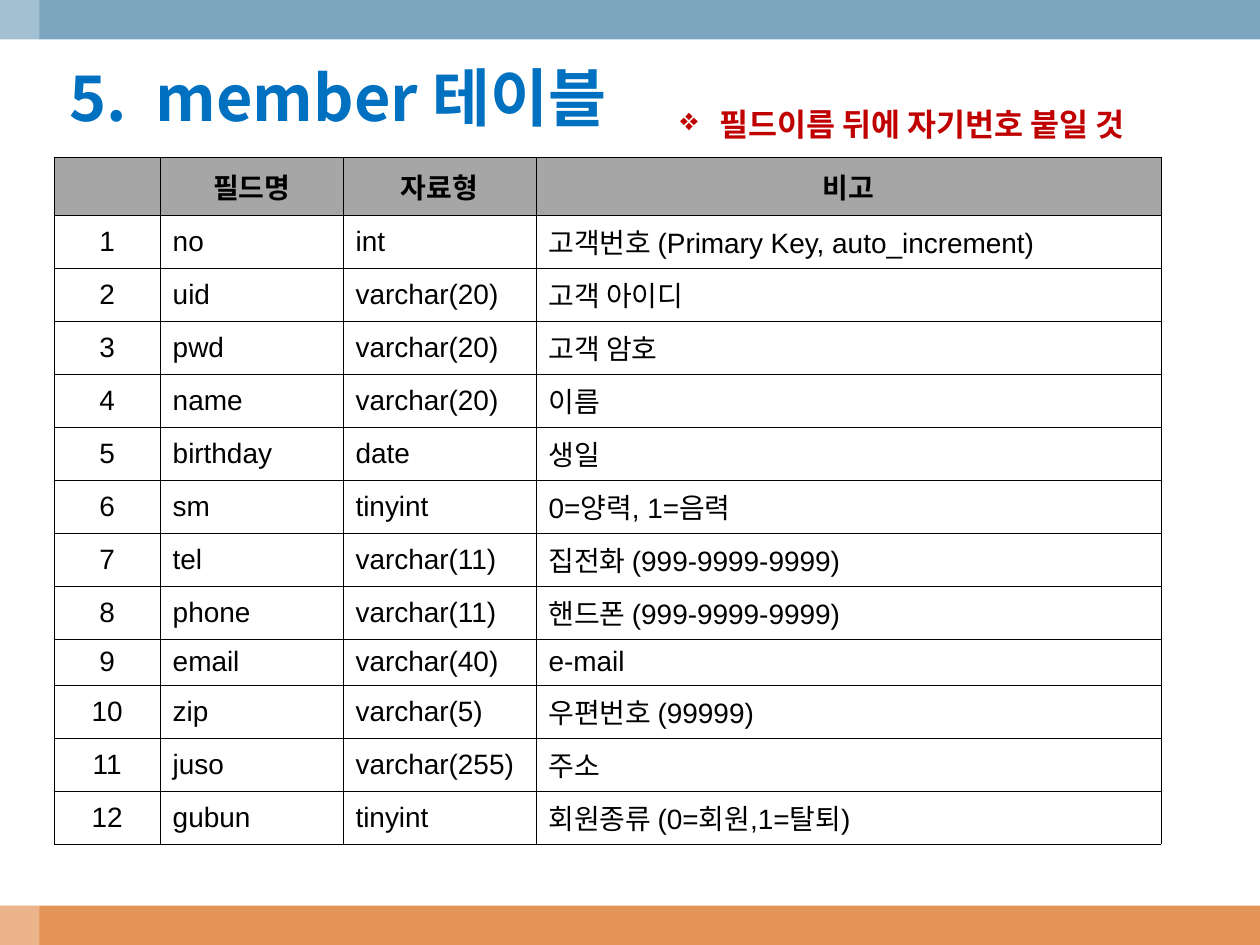
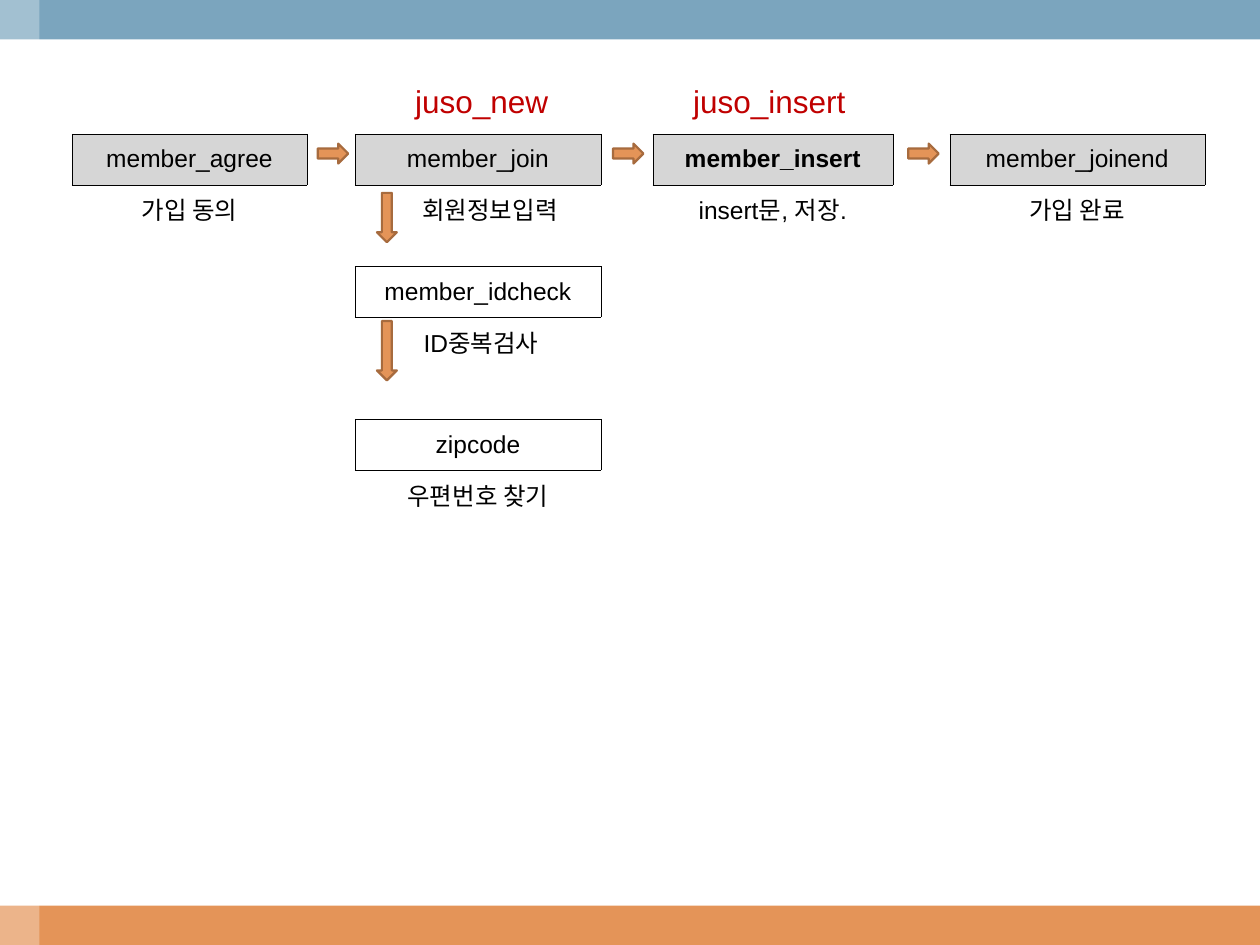
from dataclasses import dataclass

from lxml import etree
from pptx import Presentation
from pptx.dml.color import RGBColor
from pptx.enum.shapes import MSO_SHAPE
from pptx.enum.text import MSO_ANCHOR, MSO_AUTO_SIZE, PP_ALIGN
from pptx.oxml.ns import qn
from pptx.util import Pt

RECT, DOWN, RIGHT = MSO_SHAPE.RECTANGLE, MSO_SHAPE.DOWN_ARROW, MSO_SHAPE.RIGHT_ARROW
TOP, MIDDLE, BOTTOM = MSO_ANCHOR.TOP, MSO_ANCHOR.MIDDLE, MSO_ANCHOR.BOTTOM
LEFT, CENTER, JUSTIFY = PP_ALIGN.LEFT, PP_ALIGN.CENTER, PP_ALIGN.JUSTIFY
FIXED, GROW = MSO_AUTO_SIZE.NONE, MSO_AUTO_SIZE.SHAPE_TO_FIT_TEXT

WIDE, HIGH, BAND = 720, 540, 22.5
LATIN, HANGUL = "Arial", "Noto Sans CJK KR"
PLAIN = "{2D5ABB26-0587-4C30-8999-92F81FD0307C}"  # table style without grid
HUES = {
    "orange": "E49458", "rust": "A76B3E", "steel": "7BA5BE", "white": "FFFFFF",
    "black": "000000", "blue": "0070C0", "red": "C00000",
    "head": "A6A6A6", "step": "D6D6D6",
}
# Border tag and the offset of the cell across that border
SIDES = {"a:lnL": (0, -1), "a:lnR": (0, 1), "a:lnT": (-1, 0), "a:lnB": (1, 0)}

FIELDS = [
    ("no", "int", "고객번호 (Primary Key, auto_increment)"),
    ("uid", "varchar(20)", "고객 아이디"),
    ("pwd", "varchar(20)", "고객 암호"),
    ("name", "varchar(20)", "이름"),
    ("birthday", "date", "생일"),
    ("sm", "tinyint", "0=양력, 1=음력"),
    ("tel", "varchar(11)", "집전화 (999-9999-9999)"),
    ("phone", "varchar(11)", "핸드폰 (999-9999-9999)"),
    ("email", "varchar(40)", "e-mail"),
    ("zip", "varchar(5)", "우편번호 (99999)"),
    ("juso", "varchar(255)", "주소"),
    ("gubun", "tinyint", "회원종류 (0=회원,1=탈퇴)"),
]
# Step name, caption, row, column, fill, caption indent
STEPS = [
    ("member_agree", "가입 동의", 0, 0, "step", 0),
    ("member_join", "회원정보입력", 0, 2, "step", 13.7),
    ("member_insert", "insert문, 저장.", 0, 4, "step", 0),
    ("member_joinend", "가입 완료", 0, 6, "step", 0),
    ("member_idcheck", "ID중복검사", 2, 2, "white", 3.5),
    ("zipcode", "우편번호 찾기", 4, 2, "white", 0),
]


@dataclass
class Cell:
    text: str = ""
    fill: str = ""
    box: bool = True
    bold: bool = False
    align: PP_ALIGN = CENTER
    anchor: MSO_ANCHOR = MIDDLE
    indent: float = 0


def rgb(hue):
    return RGBColor.from_string(HUES[hue])


def write(para, text, size, hue="black", bold=False, face=LATIN):
    run = para.add_run()
    run.text = text
    font = run.font
    font.size, font.bold, font.name = Pt(size), bold, face
    font.color.rgb = rgb(hue)
    etree.SubElement(font._element, qn("a:ea"), typeface=HANGUL)


def shape(slide, kind, at, hue, line=None):
    item = slide.shapes.add_shape(kind, *map(Pt, at))
    item.shadow.inherit = False
    item.fill.solid()
    item.fill.fore_color.rgb = rgb(hue)
    if line:
        item.line.color.rgb = rgb(line)
        item.line.width = Pt(1.25)
    else:
        item.line.fill.background()
    return item


def bands(deck, slide):
    """Draw the shared bands, then hand them to the slide master."""
    foot = shape(slide, RECT, (0, HIGH - BAND, WIDE, BAND), "orange")
    top = shape(slide, RECT, (0, 0, WIDE, BAND), "steel")
    veil = shape(slide, RECT, (0, 0, BAND, HIGH), "white")
    color = veil.element.spPr.find(".//" + qn("a:srgbClr"))
    etree.SubElement(color, qn("a:alpha"), val="30000")
    tree = deck.slide_master.shapes.element
    for place, item in enumerate((foot, top, veil), 2):
        item.element.nvSpPr.cNvPr.set("id", str(20 + place))
        tree.insert(place, item.element)


def title(slide, text):
    item = slide.shapes.title
    item.left, item.top, item.width, item.height = map(Pt, (39.6, 39.6, 590.4, 39.6))
    frame = item.text_frame
    frame.auto_size, frame.vertical_anchor = FIXED, BOTTOM
    frame.margin_left = frame.margin_right = 0
    frame.margin_bottom = Pt(2.3)
    para = frame.paragraphs[0]
    para.alignment = LEFT
    write(para, text, 36, "blue", True, HANGUL)


def label(slide, at, text, bold=False, face=LATIN, align=CENTER, mark=None):
    frame = slide.shapes.add_textbox(*map(Pt, at)).text_frame
    frame.word_wrap, frame.auto_size = False, GROW
    para = frame.paragraphs[0]
    para.alignment = align
    if mark:
        props = para._p.get_or_add_pPr()
        props.set("marL", str(Pt(22.5)))
        props.set("indent", str(Pt(-22.5)))
        color = etree.SubElement(props, qn("a:buClr"))
        etree.SubElement(color, qn("a:srgbClr"), val=HUES["red"])
        etree.SubElement(props, qn("a:buChar"), char=mark)
    write(para, text, 18, "red", bold, face)


def edge(cell, tag, width, drawn):
    line = etree.SubElement(cell._tc.get_or_add_tcPr(), qn(tag), w=str(Pt(width)))
    if drawn:
        fill = etree.SubElement(line, qn("a:solidFill"))
        etree.SubElement(fill, qn("a:srgbClr"), val=HUES["black"])
    else:
        etree.SubElement(line, qn("a:noFill"))


def grid(slide, spot, cols, rows, cells, size, width):
    """Draw a table; a border shows wherever either neighbour is boxed."""
    area = (*spot, sum(cols), sum(rows))
    frame = slide.shapes.add_table(len(rows), len(cols), *map(Pt, area))
    table = frame.table
    table._tbl.tblPr.find(qn("a:tableStyleId")).text = PLAIN
    table.first_row = table.horz_banding = False
    for col, wide in zip(table.columns, cols):
        col.width = Pt(wide)
    for row, high in zip(table.rows, rows):
        row.height = Pt(high)
    blank = Cell(box=False)
    for r in range(len(rows)):
        for c in range(len(cols)):
            cell, data = table.cell(r, c), cells.get((r, c), blank)
            for tag, (down, over) in SIDES.items():
                beside = cells.get((r + down, c + over), blank)
                edge(cell, tag, width, data.box or beside.box)
            if data.fill:
                cell.fill.solid()
                cell.fill.fore_color.rgb = rgb(data.fill)
            else:
                cell.fill.background()
            cell.vertical_anchor = data.anchor
            if data.text:
                cell.margin_left = Pt(7.2 + data.indent)
                para = cell.text_frame.paragraphs[0]
                para.alignment = data.align
                write(para, data.text, size, bold=data.bold)
    return table


def member(slide):
    title(slide, "5.  member 테이블")
    # Empty merged row, header row, then one row per field
    cells = {(1, c): Cell(text, "head", bold=True)
             for c, text in enumerate(("", "필드명", "자료형", "비고"))}
    for r, field in enumerate(FIELDS, 2):
        cells[r, 0] = Cell(str(r - 1))
        for c, text in enumerate(field, 1):
            cells[r, c] = Cell(text, "white", align=JUSTIFY)
    rows = [33.5, 33.2] + [26.4 if f[0] == "email" else 30.3 for f in FIELDS]
    table = grid(slide, (31, 56.2), (60.5, 104.5, 110.3, 357.1), rows, cells, 16, 0.45)
    table.cell(0, 0).merge(table.cell(0, 3))
    label(slide, (381.6, 56.2, 277.2, 28.8), "필드이름 뒤에 자기번호 붙일 것",
          True, HANGUL, LEFT, "❖")


def flow(slide):
    # Steps with a caption below each
    cells = {}
    for name, note, r, c, fill, indent in STEPS:
        cells[r, c] = Cell(name, fill, bold=name == "member_insert")
        cells[r + 1, c] = Cell(note, box=False, anchor=TOP, indent=indent)
    cols = (134.2, 27.5, 140.5, 29.7, 137.1, 32.6, 145.7)
    rows = (29.2, 46.4, 29.2, 58.2, 29.2, 29.2)
    grid(slide, (41.2, 76.5), cols, rows, cells, 14, 0.11)
    # Arrows between the steps
    for top, high in ((110.2, 28.2), (183.5, 33.9)):
        shape(slide, DOWN, (215.4, top, 11.4, high), "orange", "rust")
    for left in (181.6, 350.3, 519):
        shape(slide, RIGHT, (left, 82.1, 17.4, 11.4), "orange", "rust")
    # Red names above the steps
    label(slide, (229.2, 43.2, 92, 28.8), "juso_new")
    label(slide, (387.8, 43.2, 103.5, 28.8), "juso_insert")


def main():
    deck = Presentation()
    deck.slide_width, deck.slide_height = Pt(WIDE), Pt(HIGH)
    first = deck.slides.add_slide(deck.slide_layouts[5])
    bands(deck, first)
    member(first)
    flow(deck.slides.add_slide(deck.slide_layouts[6]))
    deck.save("out.pptx")


if __name__ == "__main__":
    main()
